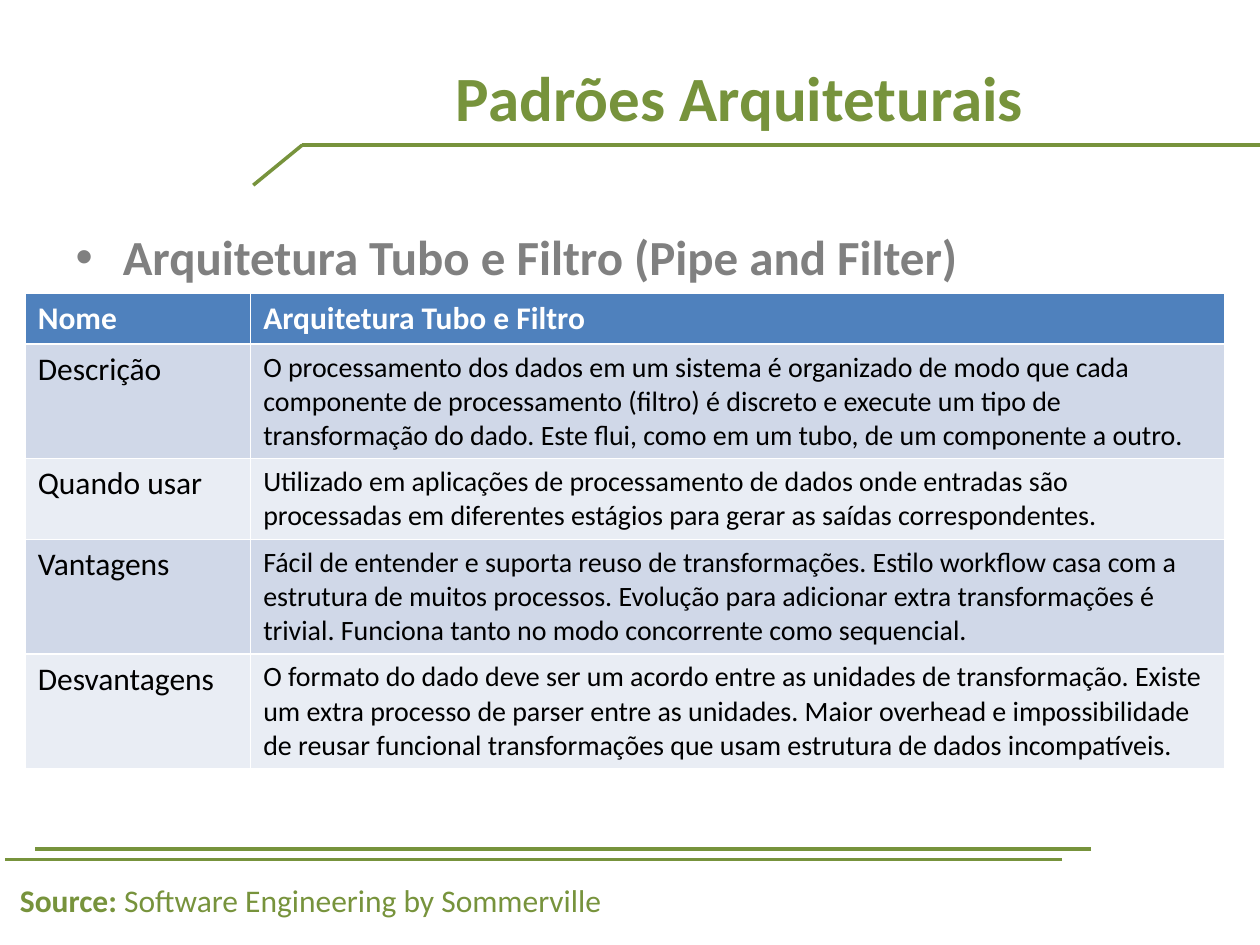
from lxml.etree import SubElement
from pptx import Presentation
from pptx.dml.color import RGBColor
from pptx.enum.shapes import MSO_CONNECTOR
from pptx.enum.text import MSO_ANCHOR, MSO_AUTO_SIZE, PP_ALIGN
from pptx.oxml.ns import qn
from pptx.util import Inches, Pt

GREEN = RGBColor(0x77, 0x93, 0x3C)
GRAY = RGBColor(0x80, 0x80, 0x80)
WHITE = RGBColor(0xFF, 0xFF, 0xFF)
BLACK = RGBColor(0x00, 0x00, 0x00)
HEADER_BLUE = RGBColor(0x4F, 0x81, 0xBD)
BANDS = [RGBColor(0xE9, 0xED, 0xF4), RGBColor(0xD0, 0xD8, 0xE8)]

PATTERN_ROWS = [
    ("Nome", "Arquitetura Tubo e Filtro"),
    ("Descrição",
     "O processamento dos dados em um sistema é organizado de modo que cada "
     "componente de processamento (filtro) é discreto e execute um tipo de "
     "transformação do dado. Este flui, como em um tubo, de um componente a outro."),
    ("Quando usar",
     "Utilizado em aplicações de processamento de dados onde entradas são "
     "processadas em diferentes estágios para gerar as saídas correspondentes."),
    ("Vantagens",
     "Fácil de entender e suporta reuso de transformações. Estilo workflow casa "
     "com a estrutura de muitos processos. Evolução para adicionar extra "
     "transformações é trivial. Funciona tanto no modo concorrente como sequencial."),
    ("Desvantagens",
     "O formato do dado deve ser um acordo entre as unidades de transformação. "
     "Existe um extra processo de parser entre as unidades. Maior overhead e "
     "impossibilidade de reusar funcional transformações que usam estrutura de "
     "dados incompatíveis."),
]


class SlideBuilder:
    """Places elements on a grid of 100 columns by 75 rows."""

    font_name = "Calibri"
    columns, rows = 100, 75

    def __init__(self, deck):
        self.deck = deck
        self.slide = deck.slides.add_slide(deck.slide_layouts[1])

    def x(self, columns):
        return round(self.deck.slide_width * columns / self.columns)

    def y(self, rows):
        return round(self.deck.slide_height * rows / self.rows)

    def area(self, left, top, width, height):
        return self.x(left), self.y(top), self.x(width), self.y(height)

    def style(self, span, size, color, bold=False):
        span.font.name = self.font_name
        span.font.size = Pt(size)
        span.font.bold = bold
        span.font.color.rgb = color

    def fill_placeholder(self, box, text, area, size, color):
        box.left, box.top, box.width, box.height = self.area(*area)
        box.text_frame.text = text
        box.text_frame.auto_size = MSO_AUTO_SIZE.NONE
        para = box.text_frame.paragraphs[0]
        self.style(para.runs[0], size, color, bold=True)
        return box

    def title(self, text, area):
        box = self.fill_placeholder(self.slide.shapes.title, text, area, 36, GREEN)
        box.text_frame.vertical_anchor = MSO_ANCHOR.MIDDLE
        box.text_frame.paragraphs[0].alignment = PP_ALIGN.CENTER

    def bullet(self, text, area):
        self.fill_placeholder(self.slide.placeholders[1], text, area, 28, GRAY)

    def line(self, start, end):
        connector = self.slide.shapes.add_connector(
            MSO_CONNECTOR.STRAIGHT,
            self.x(start[0]), self.y(start[1]), self.x(end[0]), self.y(end[1]))
        connector.line.color.rgb = GREEN
        connector.line.width = Pt(2)
        SubElement(connector._element.spPr, qn("a:effectLst"))

    def source_note(self, label, text, area):
        box = self.slide.shapes.add_textbox(*self.area(*area))
        box.text_frame.word_wrap = False
        para = box.text_frame.paragraphs[0]
        for words, bold in ((label, True), (text, False)):
            span = para.add_run()
            span.text = words
            self.style(span, 18, GREEN, bold)

    def table(self, rows, left, top, widths, heights):
        table = self.slide.shapes.add_table(
            len(rows), len(widths),
            *self.area(left, top, sum(widths), sum(heights))).table
        for column, width in zip(table.columns, widths):
            column.width = self.x(width)
        for row, height in zip(table.rows, heights):
            row.height = self.y(height)
        for row_index, texts in enumerate(rows):
            header = row_index == 0
            for column_index, text in enumerate(texts):
                cell = table.cell(row_index, column_index)
                cell.fill.solid()
                cell.fill.fore_color.rgb = HEADER_BLUE if header else BANDS[row_index % 2]
                cell.text_frame.text = text
                size = 18 if header or column_index == 0 else 16
                self.style(cell.text_frame.paragraphs[0].runs[0], size,
                           WHITE if header else BLACK, bold=header)


def main():
    deck = Presentation()
    deck.slide_width, deck.slide_height = Inches(10), Inches(7.5)
    builder = SlideBuilder(deck)

    builder.line((86.6, 67.4), (2.8, 67.4))
    builder.line((84.3, 68.2), (0.4, 68.2))
    builder.source_note("Source: ", "Software Engineering by Sommerville",
                        (0.6, 69.4, 49.3, 4))
    builder.line((100, 11.5), (24, 11.5))
    builder.line((24, 11.5), (20.1, 14.7))

    builder.title("Padrões Arquiteturais", (22.4, 1.4, 72.6, 12.5))
    builder.bullet("Arquitetura Tubo e Filtro (Pipe and Filter)", (5, 17.5, 90, 20))
    builder.table(PATTERN_ROWS, left=2, top=23.3, widths=(17.9, 77.3),
                  heights=(4, 9.1, 6.4, 9.1, 9.1))
    deck.save("out.pptx")


if __name__ == "__main__":
    main()
